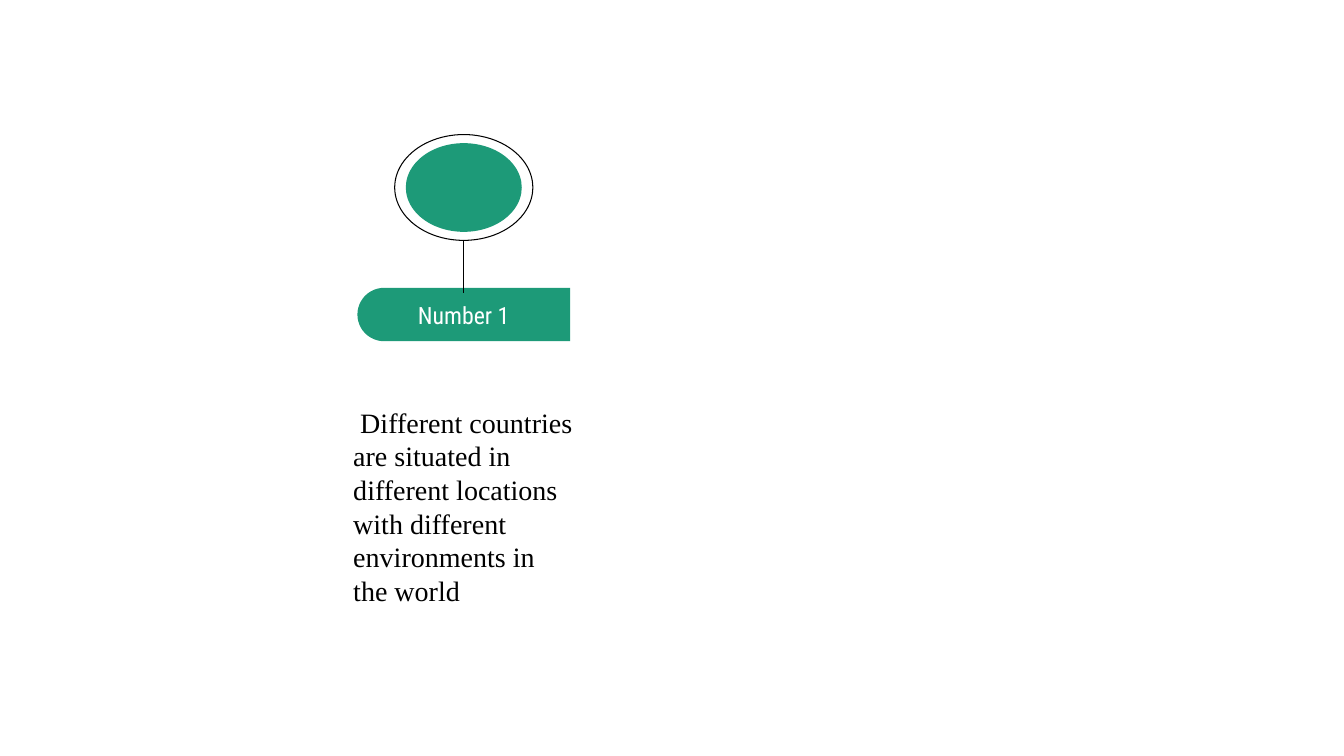
from pptx import Presentation
from pptx.dml.color import RGBColor
from pptx.enum.shapes import MSO_CONNECTOR, MSO_SHAPE
from pptx.enum.text import MSO_ANCHOR, PP_ALIGN
from pptx.oxml.ns import qn
from pptx.util import Inches, Pt

OVAL = MSO_SHAPE.OVAL
ROUND_TOP = MSO_SHAPE.ROUND_2_SAME_RECTANGLE
STRAIGHT = MSO_CONNECTOR.STRAIGHT
MIDDLE = MSO_ANCHOR.MIDDLE
LEFT, CENTER = PP_ALIGN.LEFT, PP_ALIGN.CENTER

# Content
HEADING = "Number 1"
DESCRIPTION = (" Different countries are situated in different locations "
               "with different environments in the world")
GREEN, BLACK, WHITE = "1D9A78", "000000", "FFFFFF"

# Layout in inches: every part is centred on one vertical axis
AXIS = 4.6
BADGE_Y, BANNER_Y, DESCRIPTION_Y = 1.86, 3.12, 5.02
RING_SIZE, DISC_SIZE = (1.37, 1.05), (1.15, 0.88)
BANNER_LENGTH, BANNER_HEIGHT = 2.11, 0.53
STEM_END = 2.91


def color(hex_value):
    return RGBColor.from_string(hex_value)


def centered(y, width, height):
    return (Inches(AXIS - width / 2), Inches(y - height / 2),
            Inches(width), Inches(height))


def add_part(kind, y, size, fill=None, line=None):
    part = slide.shapes.add_shape(kind, *centered(y, *size))
    part.shadow.inherit = False
    if fill:
        part.fill.solid()
        part.fill.fore_color.rgb = color(fill)
    else:
        part.fill.background()
    if line:
        part.line.color.rgb = color(line)
        part.line.width = Pt(0.75)
    else:
        part.line.fill.background()
    return part


def add_text(text, y, size, font, points, hex_value, align):
    frame = slide.shapes.add_textbox(*centered(y, *size)).text_frame
    frame.word_wrap = True
    frame.vertical_anchor = MIDDLE
    frame.margin_left = frame.margin_right = Inches(0.1)
    frame.margin_top = frame.margin_bottom = Inches(0.1)
    paragraph = frame.paragraphs[0]
    paragraph.text = text
    paragraph.alignment = align
    paragraph.font.name = font
    paragraph.font.size = Pt(points)
    paragraph.font.color.rgb = color(hex_value)


prs = Presentation()
prs.slide_width, prs.slide_height = Inches(13.33), Inches(7.5)
slide = prs.slides.add_slide(prs.slide_layouts[6])

# Banner, turned so that its rounded end points left
banner = add_part(ROUND_TOP, BANNER_Y, (BANNER_HEIGHT, BANNER_LENGTH), fill=GREEN)
banner.adjustments[0] = 0.5
banner.adjustments[1] = 0
banner.rotation = 270

# Description and heading
add_text(DESCRIPTION, DESCRIPTION_Y, (2.39, 2.3), "Times New Roman", 20, BLACK, LEFT)
add_text(HEADING, BANNER_Y, (2.3, 0.41), "Roboto Condensed", 17, WHITE, CENTER)

# Badge and the stem down to the banner
add_part(OVAL, BADGE_Y, RING_SIZE, line=BLACK)
add_part(OVAL, BADGE_Y, DISC_SIZE, fill=GREEN)
stem = slide.shapes.add_connector(
    STRAIGHT, Inches(AXIS), Inches(BADGE_Y + RING_SIZE[1] / 2),
    Inches(AXIS), Inches(STEM_END))
stem.line.color.rgb = color(BLACK)
stem.line.width = Pt(0.75)
properties = stem._element.spPr
properties.append(properties.makeelement(qn("a:effectLst"), {}))

prs.save("out.pptx")
